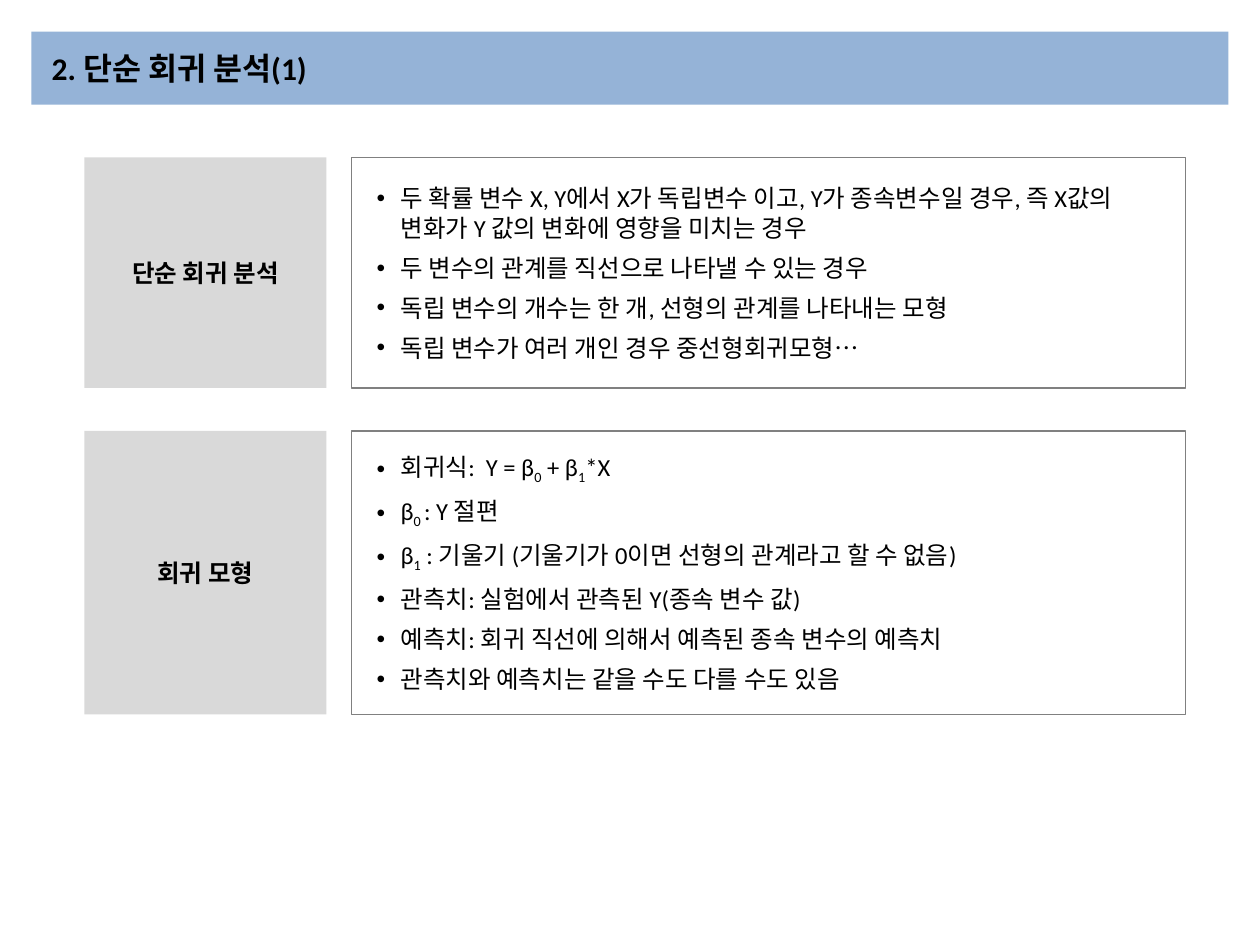
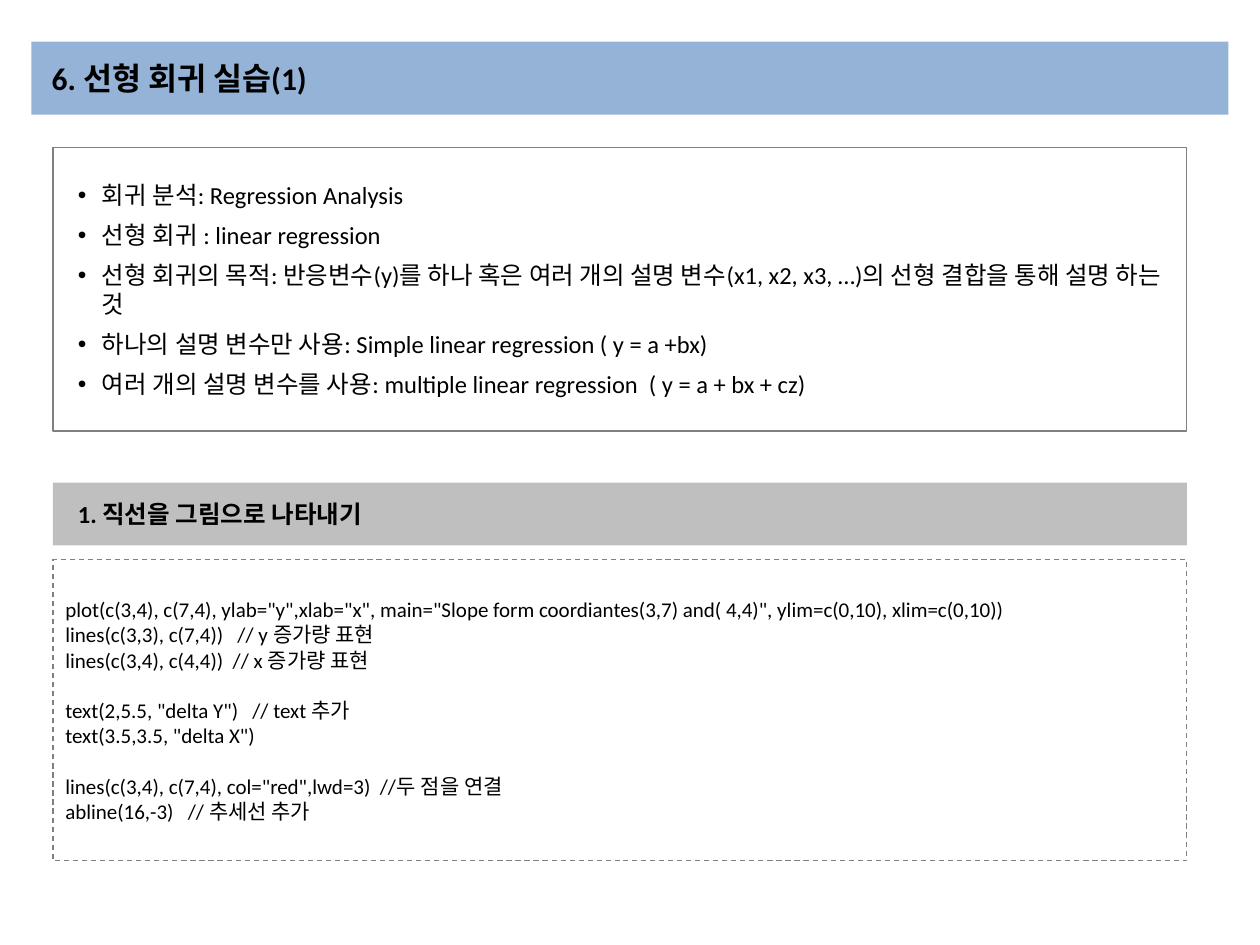
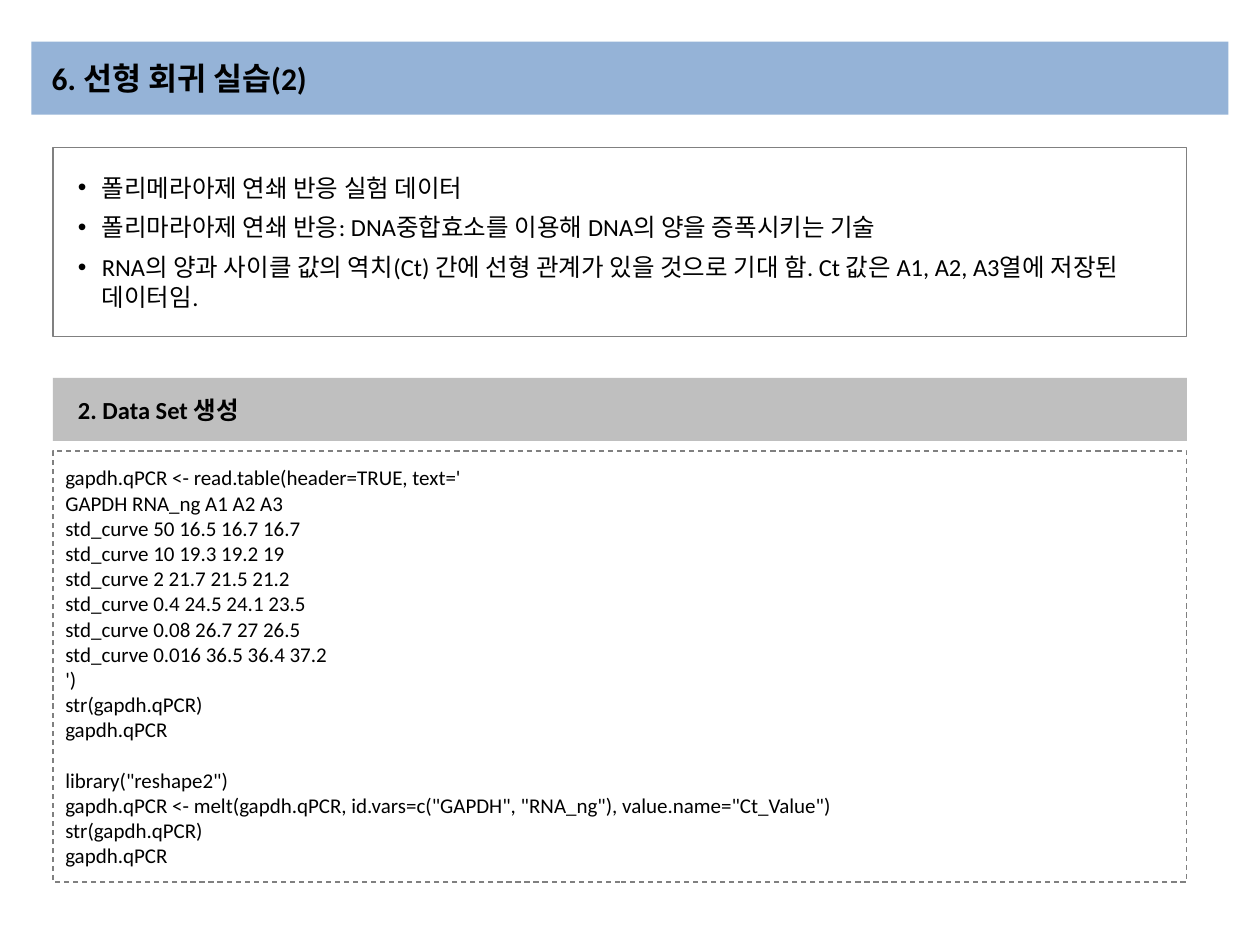
from dataclasses import dataclass
from typing import Optional

from lxml.etree import SubElement
from pptx import Presentation
from pptx.dml.color import RGBColor
from pptx.enum.dml import MSO_LINE_DASH_STYLE as Dash
from pptx.enum.shapes import MSO_SHAPE as Shape
from pptx.enum.text import MSO_ANCHOR as Anchor, PP_ALIGN as Align
from pptx.oxml.ns import qn
from pptx.util import Inches, Pt

BLACK = RGBColor(0x00, 0x00, 0x00)
TITLE_BLUE = RGBColor(0x95, 0xB3, 0xD7)
LABEL_GRAY = RGBColor(0xD9, 0xD9, 0xD9)
HEADING_GRAY = RGBColor(0xBF, 0xBF, 0xBF)
BORDER_GRAY = RGBColor(0x80, 0x80, 0x80)

FONT = "Calibri"
SUBSCRIPT_MARK = "~"
CODE_LINE_HEIGHT = 14.4
BODY_LEFT, BODY_WIDTH = 0.42, 9
PRACTICE_TOP = 1.17
HEADING_HEIGHT = 0.5


@dataclass(frozen=True)
class Topic:
    label: str
    top: float
    height: float
    points: tuple[str, ...]


@dataclass(frozen=True)
class Practice:
    title: str
    points: tuple[str, ...]
    points_height: float
    heading: str
    heading_top: float
    code_blocks: tuple[tuple[str, ...], ...]
    code_top: float
    code_height: float


CONCEPTS = (
    Topic("단순 회귀 분석", 1.25, 1.83, (
        "두 확률 변수 X, Y에서 X가 독립변수 이고, Y가 종속변수일 경우, 즉 X값의 변화가 Y 값의 변화에 영향을 미치는 경우",
        "두 변수의 관계를 직선으로 나타낼 수 있는 경우",
        "독립 변수의 개수는 한 개, 선형의 관계를 나타내는 모형",
        "독립 변수가 여러 개인 경우 중선형회귀모형…",
    )),
    Topic("회귀 모형", 3.42, 2.25, (
        "회귀식:  Y = β~0~ + β~1~*X",
        "β~0 ~: Y 절편",
        "β~1~ : 기울기 (기울기가 0이면 선형의 관계라고 할 수 없음)",
        "관측치: 실험에서 관측된 Y(종속 변수 값)",
        "예측치: 회귀 직선에 의해서 예측된 종속 변수의 예측치",
        "관측치와 예측치는 같을 수도 다를 수도 있음",
    )),
)

PRACTICES = (
    Practice(
        title="6. 선형 회귀 실습(1)",
        points=(
            "회귀 분석: Regression Analysis",
            "선형 회귀 : linear regression",
            "선형 회귀의 목적: 반응변수(y)를 하나 혹은 여러 개의 설명 변수(x1, x2, x3, …)의 선형 결합을 통해 설명 하는 것",
            "하나의 설명 변수만 사용: Simple linear regression ( y = a +bx)",
            "여러 개의 설명 변수를 사용: multiple linear regression  ( y = a + bx + cz)",
        ),
        points_height=2.25,
        heading="1. 직선을 그림으로 나타내기",
        heading_top=3.83,
        code_blocks=(
            (
                'plot(c(3,4), c(7,4), ylab="y",xlab="x", main="Slope form coordiantes(3,7) and( 4,4)", '
                "ylim=c(0,10), xlim=c(0,10))",
                "lines(c(3,3), c(7,4))   // y 증가량 표현",
                "lines(c(3,4), c(4,4))  // x 증가량 표현",
            ),
            ('text(2,5.5, "delta Y")   // text 추가', 'text(3.5,3.5, "delta X")'),
            (
                'lines(c(3,4), c(7,4), col="red",lwd=3)  //두 점을 연결',
                "abline(16,-3)   // 추세선 추가",
            ),
        ),
        code_top=4.44,
        code_height=2.39,
    ),
    Practice(
        title="6. 선형 회귀 실습(2)",
        points=(
            "폴리메라아제 연쇄 반응 실험 데이터",
            "폴리마라아제 연쇄 반응: DNA중합효소를 이용해 DNA의 양을 증폭시키는 기술",
            "RNA의 양과 사이클 값의 역치(Ct) 간에 선형 관계가 있을 것으로 기대 함. Ct 값은 A1, A2, A3열에 저장된 데이터임.",
        ),
        points_height=1.5,
        heading="2. Data Set 생성",
        heading_top=3,
        code_blocks=(
            (
                "gapdh.qPCR <- read.table(header=TRUE, text='",
                "GAPDH RNA_ng A1 A2 A3",
                "std_curve 50 16.5 16.7 16.7",
                "std_curve 10 19.3 19.2 19",
                "std_curve 2 21.7 21.5 21.2",
                "std_curve 0.4 24.5 24.1 23.5",
                "std_curve 0.08 26.7 27 26.5",
                "std_curve 0.016 36.5 36.4 37.2",
                "')",
                "str(gapdh.qPCR)",
                "gapdh.qPCR",
            ),
            (
                'library("reshape2")',
                'gapdh.qPCR <- melt(gapdh.qPCR, id.vars=c("GAPDH", "RNA_ng"), value.name="Ct_Value")',
                "str(gapdh.qPCR)",
                "gapdh.qPCR",
            ),
        ),
        code_top=3.58,
        code_height=3.42,
    ),
)


def add_box(slide, left: float, top: float, width: float, height: float,
            fill: Optional[RGBColor] = None, dash: Optional[Dash] = None):
    """Draw a filled band, or an outlined box when no fill is given; return its text frame."""
    box = slide.shapes.add_shape(
        Shape.RECTANGLE, Inches(left), Inches(top), Inches(width), Inches(height))
    box.shadow.inherit = False
    if fill is None:
        box.fill.background()
        box.line.color.rgb = BORDER_GRAY
        box.line.width = Pt(0.75)
        if dash is not None:
            box.line.dash_style = dash
    else:
        box.fill.solid()
        box.fill.fore_color.rgb = fill
        box.line.fill.background()
    frame = box.text_frame
    frame.word_wrap = True
    frame.vertical_anchor = Anchor.MIDDLE
    return frame


def write(frame, text: str, size: float = 14, bold: bool = False, align: Align = Align.LEFT,
          before: float = 0, indent: float = 0, hanging: float = 0, bullet: str = "") -> None:
    """Add a paragraph; text between two subscript marks is lowered."""
    first = frame.paragraphs[0]
    paragraph = frame.add_paragraph() if first.runs else first
    paragraph.alignment = align
    paragraph.space_before = Pt(before)
    properties = paragraph._p.get_or_add_pPr()
    properties.set("marL", str(Inches(indent)))
    properties.set("indent", str(-Inches(hanging)))
    if bullet:
        SubElement(properties, qn("a:buFont")).set("typeface", "Arial")
        SubElement(properties, qn("a:buChar")).set("char", bullet)
    for position, part in enumerate(text.split(SUBSCRIPT_MARK)):
        if not part:
            continue
        run = paragraph.add_run()
        run.text = part
        run.font.name = FONT
        run.font.size = Pt(size)
        run.font.bold = bold
        run.font.color.rgb = BLACK
        if position % 2:
            run._r.get_or_add_rPr().set("baseline", "-25000")


def add_title(slide, title: str, top: float) -> None:
    frame = add_box(slide, 0.25, top, 9.5, 0.58, fill=TITLE_BLUE)
    frame.margin_left = Inches(0.16)
    write(frame, title, size=18, bold=True)


def add_points(slide, left: float, top: float, width: float, height: float,
               points: tuple[str, ...]) -> None:
    frame = add_box(slide, left, top, width, height)
    for point in points:
        write(frame, point, before=6, indent=0.29, hanging=0.19, bullet="•")


def add_topic(slide, topic: Topic) -> None:
    label = add_box(slide, 0.67, topic.top, 1.92, topic.height, fill=LABEL_GRAY)
    write(label, topic.label, bold=True, align=Align.CENTER)
    add_points(slide, 2.79, topic.top, 6.62, topic.height, topic.points)


def add_code(slide, practice: Practice) -> None:
    """Draw the dashed code box, with one line of space between blocks."""
    frame = add_box(slide, BODY_LEFT, practice.code_top, BODY_WIDTH, practice.code_height,
                    dash=Dash.DASH)
    for block_index, block in enumerate(practice.code_blocks):
        for line_index, line in enumerate(block):
            starts_later_block = block_index > 0 and line_index == 0
            write(frame, line, size=12, before=CODE_LINE_HEIGHT if starts_later_block else 0)


def add_practice(slide, practice: Practice) -> None:
    add_title(slide, practice.title, top=0.33)
    add_points(slide, BODY_LEFT, PRACTICE_TOP, BODY_WIDTH, practice.points_height, practice.points)
    heading = add_box(slide, BODY_LEFT, practice.heading_top, BODY_WIDTH, HEADING_HEIGHT,
                      fill=HEADING_GRAY)
    write(heading, practice.heading, bold=True, before=6, indent=0.1)
    add_code(slide, practice)


def main() -> None:
    deck = Presentation()
    deck.slide_width, deck.slide_height = Inches(10), Inches(7.5)
    blank = deck.slide_layouts[6]

    concept_slide = deck.slides.add_slide(blank)
    add_title(concept_slide, "2. 단순 회귀 분석(1)", top=0.25)
    for topic in CONCEPTS:
        add_topic(concept_slide, topic)

    for practice in PRACTICES:
        add_practice(deck.slides.add_slide(blank), practice)

    deck.save("out.pptx")


if __name__ == "__main__":
    main()
